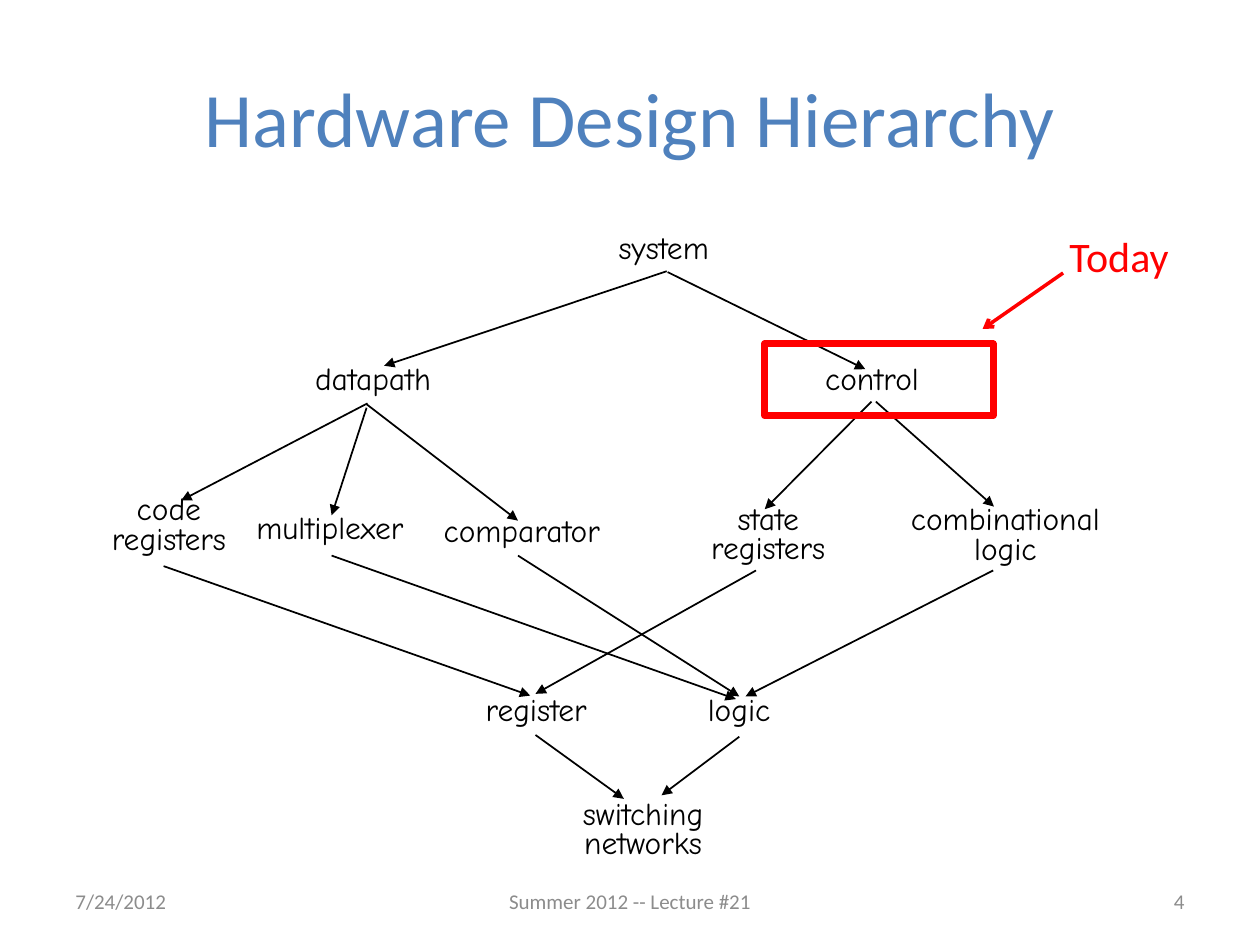
from lxml.etree import SubElement
from pptx import Presentation
from pptx.dml.color import RGBColor
from pptx.enum.shapes import MSO_CONNECTOR, MSO_SHAPE
from pptx.enum.text import MSO_ANCHOR, PP_ALIGN
from pptx.oxml.ns import qn
from pptx.util import Pt

BLACK, RED, BLUE, GRAY = "000000", "FF0000", "4F81BD", "8C8C8C"
LEFT, CENTER, RIGHT = PP_ALIGN.LEFT, PP_ALIGN.CENTER, PP_ALIGN.RIGHT

# text, left, top, width
NODES = [
    ("system", 352, 133, 81),
    ("datapath", 178.5, 208, 96),
    ("control", 470, 207.5, 80),
    ("state\nregisters", 379, 287.5, 120),
    ("combinational\nlogic", 489, 288, 171),
    ("multiplexer", 145, 293, 107),
    ("comparator", 252, 294.5, 109),
    ("code\nregisters", 60, 282, 73),
    ("register", 276, 397, 84),
    ("logic", 403, 397, 66),
    ("switching\nnetworks", 294.5, 456, 146),
]

# start x, start y, end x, end y
EDGES = [
    (381.5, 155.5, 494.5, 211),     # system to control
    (381, 155, 219.5, 209),         # system to datapath
    (209.5, 233, 189.5, 294.5),     # datapath to multiplexer
    (209.5, 231, 296, 297.5),       # datapath to comparator
    (210, 230.5, 103.5, 286),       # datapath to code registers
    (93.5, 323.5, 303, 397.5),      # code registers to register
    (432, 326, 306, 396.5),         # state registers to register
    (498, 229.5, 437, 291),         # control to state registers
    (500.5, 229.5, 568, 289.5),     # control to combinational logic
    (296, 317.5, 422.5, 398),       # comparator to logic
    (189.5, 317.5, 420.5, 399.5),   # multiplexer to logic
    (567.5, 326, 426, 398),         # combinational logic to logic
    (422.5, 421, 378, 454.5),       # logic to switching networks
    (306, 420, 356.5, 456.5),       # register to switching networks
]

# text, left, width, alignment
FOOTERS = [
    ("7/24/2012", 36, 168, LEFT),
    ("Summer 2012 -- Lecture #21", 246, 228, CENTER),
    ("4", 516, 168, RIGHT),
]


def rgb(color):
    return RGBColor.from_string(color)


class Deck:
    """Holds the style and the current slide."""

    font, node_font = "Calibri", "Comic Neue"

    def __init__(self):
        self.prs = Presentation()
        self.prs.slide_width, self.prs.slide_height = Pt(720), Pt(540)
        self.s = self.prs.slides.add_slide(self.prs.slide_layouts[5])

    def set_text(self, tf, text, size, color, align, font):
        p = tf.paragraphs[0]
        p.text, p.alignment = text, align
        p.font.size, p.font.name = Pt(size), font
        p.font.color.rgb = rgb(color)
        return p

    def title(self, text, left, top, width, height):
        sp = self.s.shapes.title
        sp.left, sp.top, sp.width, sp.height = map(Pt, (left, top, width, height))
        sp.text_frame.vertical_anchor = MSO_ANCHOR.MIDDLE
        self.set_text(sp.text_frame, text, 44, BLUE, CENTER, self.font)

    def label(self, text, left, top, width, height, size, color,
              align=LEFT, wrap=False, anchor=MSO_ANCHOR.TOP):
        sp = self.s.shapes.add_textbox(*map(Pt, (left, top, width, height)))
        tf = sp.text_frame
        tf.word_wrap, tf.vertical_anchor = wrap, anchor
        self.set_text(tf, text, size, color, align, self.font)

    def node(self, text, left, top, width):
        """Hierarchy entry; two-line entries are taller and centred."""
        two_lines = "\n" in text
        height = 43 if two_lines else 26.5
        sp = self.s.shapes.add_textbox(*map(Pt, (left, top, width, height)))
        tf = sp.text_frame
        tf.word_wrap = False
        tf.margin_left = tf.margin_right = Pt(1.5)
        tf.margin_top = tf.margin_bottom = Pt(2)
        align = CENTER if two_lines else LEFT
        p = self.set_text(tf, text, 18, BLACK, align, self.node_font)
        p.line_spacing = Pt(17)

    def arrow(self, x1, y1, x2, y2, color=BLACK, weight=1, head="triangle"):
        c = self.s.shapes.add_connector(
            MSO_CONNECTOR.STRAIGHT, *map(Pt, (x1, y1, x2, y2)))
        c.line.color.rgb, c.line.width = rgb(color), Pt(weight)
        sp_pr = c._element.spPr
        SubElement(sp_pr.find(qn("a:ln")), qn("a:tailEnd"), type=head)
        SubElement(sp_pr, qn("a:effectLst"))

    def frame(self, left, top, width, height, color, weight):
        sp = self.s.shapes.add_shape(
            MSO_SHAPE.RECTANGLE, *map(Pt, (left, top, width, height)))
        sp.shadow.inherit = False
        sp.fill.background()
        sp.line.color.rgb, sp.line.width = rgb(color), Pt(weight)


def main():
    deck = Deck()
    deck.title("Hardware Design Hierarchy", 36, 21.6, 648, 90)
    for node in NODES:
        deck.node(*node)
    for edge in EDGES:
        deck.arrow(*edge)
    deck.frame(437, 196.5, 130.5, 41, RED, 4)
    deck.label("Today", 604, 128, 72, 36, 24, RED)
    deck.arrow(607.5, 156, 561.5, 188, RED, 2, "arrow")
    for text, left, width, align in FOOTERS:
        deck.label(text, left, 500.5, width, 28.75, 12, GRAY, align,
                   wrap=True, anchor=MSO_ANCHOR.MIDDLE)
    deck.prs.save("out.pptx")


if __name__ == "__main__":
    main()
